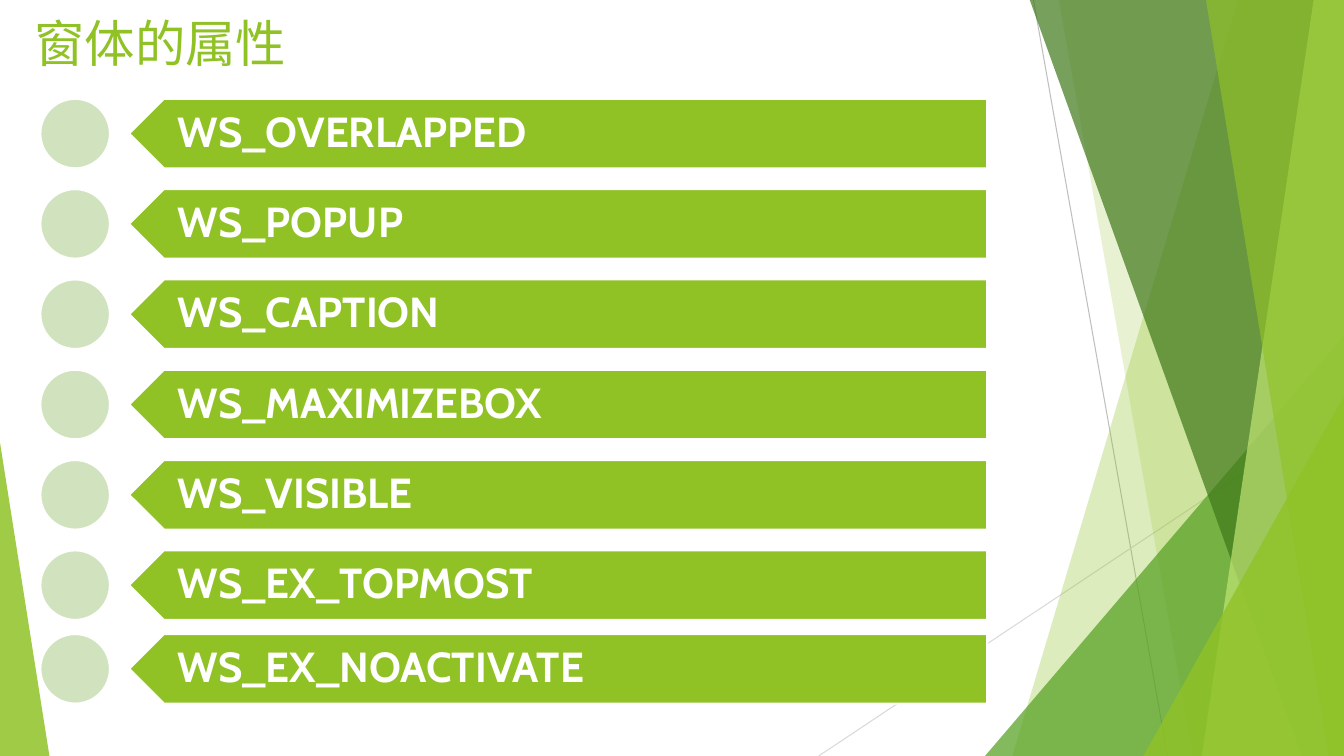
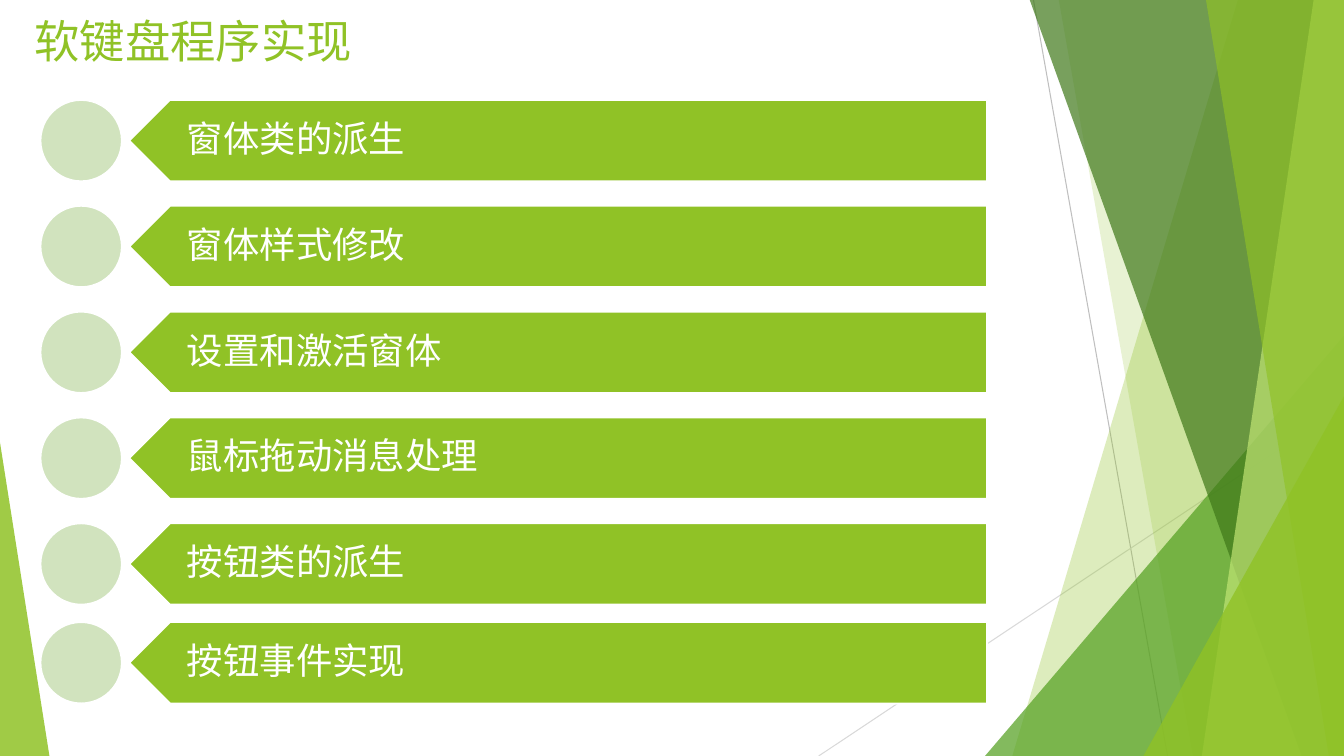
from dataclasses import dataclass

from lxml import etree
from pptx import Presentation
from pptx.dml.color import RGBColor
from pptx.enum.shapes import MSO_CONNECTOR, MSO_SHAPE
from pptx.enum.text import MSO_ANCHOR, MSO_AUTO_SIZE, PP_ALIGN
from pptx.oxml.ns import qn
from pptx.util import Inches, Pt

LINE = MSO_CONNECTOR.STRAIGHT
PLATE, OVAL = MSO_SHAPE.PENTAGON, MSO_SHAPE.OVAL
PEAK = MSO_SHAPE.ISOSCELES_TRIANGLE
TOP, MIDDLE = MSO_ANCHOR.TOP, MSO_ANCHOR.MIDDLE
LEFT, NO_FIT = PP_ALIGN.LEFT, MSO_AUTO_SIZE.NONE

WIDTH, HEIGHT = 13.33, 7.5
COLORS = {
    "green": "90C226", "leaf": "54A021", "forest": "3F7819", "lime": "C0E474",
    "pale": "D1E3BE", "white": "FFFFFF", "gray": "BFBFBF", "mist": "D9D9D9",
}
LATIN, HAN = "Cabin", "Noto Sans CJK SC"
DOT_X, BAR_X, BAR_W, BAR_END = 0.4, 1.28, 8.51, 6.98


@dataclass
class Ray:
    x1: float
    y1: float
    x2: float
    y2: float
    color: str


@dataclass
class Pane:
    """A band from a slanted left edge to the right side of the slide."""
    top: float
    foot: float
    color: str
    alpha: int


@dataclass
class Wedge:
    """A right-angled triangle standing on the bottom of the slide."""
    x: float
    y: float
    width: float
    apex: float
    color: str
    alpha: int


@dataclass
class Page:
    title: str
    title_w: float
    title_size: float
    items: list[str]
    top: float
    late: float  # top of the last bar but one
    size: float
    inset: float
    font: str
    points: float
    bold: bool


RAYS = [
    Ray(10.25, 0, 11.58, HEIGHT, "gray"),
    Ray(WIDTH, 4.03, 8.12, HEIGHT, "mist"),
]
FACETS = [
    Pane(12.28, 10.04, "green", 30),
    Pane(10.5, 11.83, "green", 20),
    Wedge(9.77, 3.33, 3.56, 1, "leaf", 72),
    Pane(10.21, 12.91, "forest", 70),
    Pane(13.03, 11.92, "lime", 70),
    Pane(11.96, 13.18, "green", 65),
    Wedge(11.34, 3.93, 1.99, 1, "green", 80),
    Wedge(0, 4.39, 0.49, 0, "green", 85),
]
PAGES = [
    Page("窗体的属性", 2.89, 36,
         ["WS_OVERLAPPED", "WS_POPUP", "WS_CAPTION", "WS_MAXIMIZEBOX",
          "WS_VISIBLE", "WS_EX_TOPMOST", "WS_EX_NOACTIVATE"],
         0.98, 5.46, 0.69, 0.3, LATIN, 30, True),
    Page("软键盘程序实现", 3.61, 32.4,
         ["窗体类的派生", "窗体样式修改", "设置和激活窗体",
          "鼠标拖动消息处理", "按钮类的派生", "按钮事件实现"],
         0.99, 5.19, 0.81, 0.36, HAN, 26, False),
]


def rgb(name: str) -> RGBColor:
    return RGBColor.from_string(COLORS[name])


def paint(shape, color: str, alpha: int = 100, edge: str = "") -> None:
    shape.shadow.inherit = False
    shape.fill.solid()
    shape.fill.fore_color.rgb = rgb(color)
    if alpha < 100:
        tint = shape.element.spPr.find(qn("a:solidFill"))[0]
        etree.SubElement(tint, qn("a:alpha"), val=str(alpha * 1000))
    if edge:
        shape.line.color.rgb = rgb(edge)
        shape.line.width = Pt(1.5)
    else:
        shape.line.fill.background()


def write(shape, text: str, *, size: float, color: str, font: str = LATIN,
          bold: bool = False, anchor=MIDDLE, inset: float = 0.1,
          pad: float = 0.1, spacing: float = 0.9, after: float = 0) -> None:
    frame = shape.text_frame
    frame.word_wrap = True
    frame.auto_size = NO_FIT
    frame.vertical_anchor = anchor
    frame.margin_left, frame.margin_right = Inches(inset), Inches(0.1)
    frame.margin_top = frame.margin_bottom = Inches(pad)
    par = frame.paragraphs[0]
    par.alignment = LEFT
    par.line_spacing = spacing
    par.space_after = Pt(after)
    run = par.add_run()
    run.text = text
    run.font.name = font
    run.font.size = Pt(size)
    run.font.bold = bold
    run.font.color.rgb = rgb(color)
    etree.SubElement(run.font._element, qn("a:ea"), typeface=HAN)


def add_ray(shapes, ray: Ray) -> None:
    line = shapes.add_connector(LINE, Inches(ray.x1), Inches(ray.y1),
                                Inches(ray.x2), Inches(ray.y2))
    line.line.color.rgb = rgb(ray.color)
    line.line.width = Pt(0.75)
    etree.SubElement(line.element.spPr, qn("a:effectLst"))


def add_facet(shapes, facet: Pane | Wedge) -> None:
    if isinstance(facet, Pane):
        edge, high, low = Inches(WIDTH), Inches(-0.01), Inches(HEIGHT)
        path = shapes.build_freeform(Inches(facet.top), high)
        path.add_line_segments(
            [(edge, high), (edge, low), (Inches(facet.foot), low)])
        shape = path.convert_to_shape()
    else:
        shape = shapes.add_shape(
            PEAK, Inches(facet.x), Inches(facet.y),
            Inches(facet.width), Inches(HEIGHT - facet.y))
        shape.adjustments[0] = facet.apex
    paint(shape, facet.color, facet.alpha)


def dress(layout, slide) -> None:
    """Draw the backdrop on a slide, then move it to the shared layout."""
    for holder in list(layout.placeholders)[1:]:
        layout.shapes.element.remove(holder.element)
    for ray in RAYS:
        add_ray(slide.shapes, ray)
    for facet in FACETS:
        add_facet(slide.shapes, facet)
    for shape in list(slide.shapes):
        if not shape.is_placeholder:
            layout.shapes.element.append(shape.element)


def add_bar(shapes, page: Page, text: str, y: float) -> None:
    top, size = Inches(y), Inches(page.size)
    bar = shapes.add_shape(PLATE, Inches(BAR_X), top, Inches(BAR_W), size)
    bar.rotation = 180
    paint(bar, "green", edge="white")
    indent = page.size / 4
    label = shapes.add_textbox(Inches(BAR_X + 0.01 + indent), top,
                               Inches(BAR_W - indent), size)
    write(label, text, size=page.points, color="white", font=page.font,
          bold=page.bold, inset=page.inset, after=page.points * 0.35)
    dot = shapes.add_shape(OVAL, Inches(DOT_X), top, size, size)
    paint(dot, "pale", edge="white")


def fill_page(slide, page: Page) -> None:
    title = slide.shapes.title
    title.left, title.top = Inches(0.24), Inches(0.14)
    title.width, title.height = Inches(page.title_w), Inches(0.78)
    write(title, page.title, size=page.title_size, color="green",
          anchor=TOP, pad=0.05)
    step = (page.late - page.top) / (len(page.items) - 2)
    tops = [page.top + step * i for i in range(len(page.items) - 1)]
    tops.append(BAR_END - page.size)
    for text, y in zip(page.items, tops):
        add_bar(slide.shapes, page, text, y)


def main() -> None:
    deck = Presentation()
    deck.slide_width, deck.slide_height = Inches(WIDTH), Inches(HEIGHT)
    layout = deck.slide_layouts[5]
    slides = [deck.slides.add_slide(layout) for _ in PAGES]
    dress(layout, slides[0])
    for slide, page in zip(slides, PAGES):
        fill_page(slide, page)
    deck.save("out.pptx")


if __name__ == "__main__":
    main()
